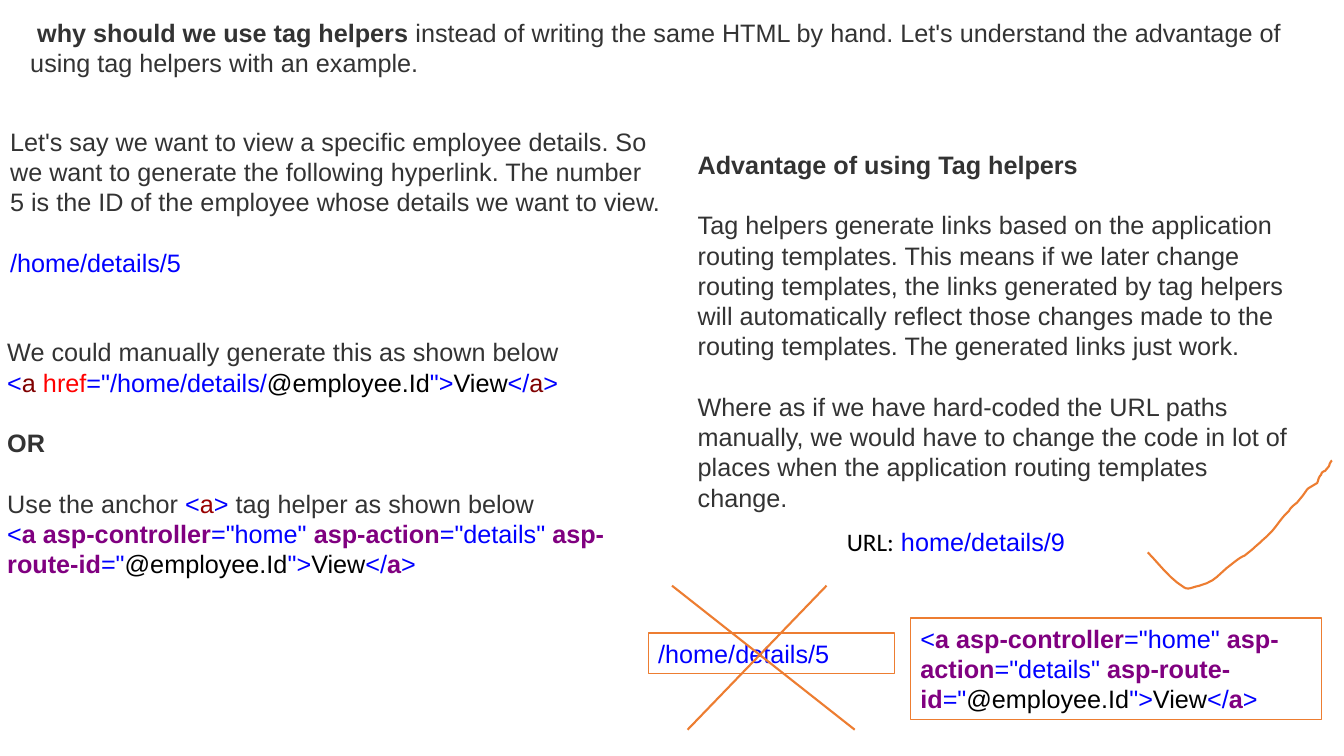
from lxml import etree
from pptx import Presentation
from pptx.dml.color import RGBColor
from pptx.enum.shapes import MSO_CONNECTOR, MSO_SHAPE
from pptx.enum.text import MSO_ANCHOR, MSO_AUTO_SIZE, PP_ALIGN
from pptx.oxml.ns import qn
from pptx.util import Inches, Pt

LEFT, TOP = PP_ALIGN.LEFT, MSO_ANCHOR.TOP
NO_FIT = MSO_AUTO_SIZE.NONE
STRAIGHT, RECTANGLE = MSO_CONNECTOR.STRAIGHT, MSO_SHAPE.RECTANGLE
TWO_CONTENT = 3

WIDTH, HEIGHT = Inches(13.33), Inches(7.5)
FONT, SIZE, LINE = "Arial", Pt(18), Pt(21.6)
GREY, BLUE, BLACK, MAROON, CRIMSON = "333333", "0000FF", "000000", "800000", "990000"
RED, PURPLE, ORANGE, WHITE = "FF0000", "800080", "ED7D31", "FFFFFF"

# Runs are (text, colour, bold, font); the last two may be left out
EMPLOYEE_VIEW = [
    ("@employee.Id", BLACK), ('">', BLUE), ("View", BLACK), ("</", BLUE),
]
MANUAL_LINK = [
    ("<", BLUE), ("a ", MAROON), ("href", RED), ('="/home/details/', BLUE),
    *EMPLOYEE_VIEW, ("a", MAROON), (">", BLUE),
]
TAG_HELPER_LINK = [
    ("<", BLUE), ("a asp-controller", PURPLE, True), ('="home" ', BLUE),
    ("asp-action", PURPLE, True), ('="details" ', BLUE),
    ("asp-route-id", PURPLE, True), ('="', BLUE),
    *EMPLOYEE_VIEW, ("a", PURPLE, True), (">", BLUE),
]
FIXED_LINK = [("/home/details/5", BLUE)]

# Tick: start point, then cubic curves (two controls and an end), in % of the slide
TICK_START = (85.4, 73.07)
TICK_CURVES = [
    ((86.3, 74.7), (87, 76.5), (88.1, 77.7)),
    ((88.4, 78.1), (88.8, 77.6), (89.2, 77.5)),
    ((90.6, 76.8), (90.5, 76.1), (91.8, 74.4)),
    ((92.1, 74), (92.3, 73.7), (92.6, 73.5)),
    ((93.6, 72.1), (93, 72.9), (93.8, 71.7)),
    ((94, 71.3), (94.2, 71.1), (94.4, 70.7)),
    ((95, 69.7), (95.3, 68.5), (95.9, 67.6)),
    ((96, 67.2), (96.2, 66.9), (96.5, 66.5)),
    ((97.7, 64), (96.8, 65.2), (98, 63.9)),
    ((98.1, 63.5), (98.1, 63.1), (98.3, 62.8)),
    ((98.3, 62.5), (98.5, 62.3), (98.6, 62.3)),
    ((98.7, 62), (98.8, 61.9), (98.9, 61.6)),
    ((98.9, 61.3), (99.1, 60.9), (99.1, 60.9)),
]


def color(hex_code):
    return RGBColor.from_string(hex_code)


def place(x, y):
    """Turn shares of the slide, in percent, into lengths."""
    return int(WIDTH * x / 100), int(HEIGHT * y / 100)


def area(x, y, width, height):
    return *place(x, y), *place(width, height)


def set_font(font, name=FONT):
    font.name, font.size = name, SIZE


def add_run(paragraph, text, tint, bold=False, name=FONT):
    run = paragraph.add_run()
    run.text = text
    set_font(run.font, name)
    run.font.bold = bold
    run.font.color.rgb = color(tint)


def write(shape, paragraphs):
    """Fill a shape with (blank lines before, runs) paragraphs."""
    frame = shape.text_frame
    frame.word_wrap, frame.auto_size = True, NO_FIT
    frame.vertical_anchor = TOP
    for number, (gap, runs) in enumerate(paragraphs):
        paragraph = frame.add_paragraph() if number else frame.paragraphs[0]
        properties = paragraph._p.get_or_add_pPr()
        properties.set("marL", "0")
        properties.set("indent", "0")
        etree.SubElement(properties, qn("a:buNone"))
        paragraph.alignment, paragraph.line_spacing = LEFT, LINE
        paragraph.space_before, paragraph.space_after = gap * LINE, Pt(0)
        set_font(paragraph.font)
        for run in runs:
            add_run(paragraph, *run)


def fill_placeholder(placeholder, bounds, paragraphs):
    placeholder.left, placeholder.top, placeholder.width, placeholder.height = area(*bounds)
    write(placeholder, paragraphs)


def add_text(slide, bounds, paragraphs):
    write(slide.shapes.add_textbox(*area(*bounds)), paragraphs)


def outline(shape, points):
    shape.line.color.rgb = color(ORANGE)
    shape.line.width = Pt(points)


def add_code_box(slide, bounds, runs):
    box = slide.shapes.add_shape(RECTANGLE, *area(*bounds))
    box.shadow.inherit = False
    box.fill.solid()
    box.fill.fore_color.rgb = color(WHITE)
    outline(box, 1)
    write(box, [(0, runs)])


def add_stroke(slide, start, end):
    stroke = slide.shapes.add_connector(STRAIGHT, *place(*start), *place(*end))
    outline(stroke, 1.5)
    etree.SubElement(stroke._element.spPr, qn("a:effectLst"))


def curve_points(start, curves, steps=6):
    for first, second, end in curves:
        for step in range(1, steps + 1):
            t = step / steps
            weights = (1 - t) ** 3, 3 * t * (1 - t) ** 2, 3 * t * t * (1 - t), t ** 3
            corners = start, first, second, end
            yield place(*(sum(w * corner[axis] for w, corner in zip(weights, corners))
                          for axis in (0, 1)))
        start = end


def add_tick(slide):
    builder = slide.shapes.build_freeform(*place(*TICK_START))
    builder.add_line_segments(curve_points(TICK_START, TICK_CURVES), close=False)
    tick = builder.convert_to_shape()
    tick.shadow.inherit = False
    tick.fill.background()
    outline(tick, 1.5)


def main():
    deck = Presentation()
    deck.slide_width, deck.slide_height = WIDTH, HEIGHT
    slide = deck.slides.add_slide(deck.slide_layouts[TWO_CONTENT])
    heading, scenario, advantage = slide.placeholders

    # Heading
    fill_placeholder(heading, (1.5, 1.6, 96.1, 9.47), [(0, [
        (" why should we use tag helpers", GREY, True),
        (" instead of writing the same HTML by hand. Let's understand the advantage "
         "of using tag helpers with an example.", GREY)])])

    # Left column: the wanted link and two ways to write it
    fill_placeholder(scenario, (0, 16, 50, 21.6), [
        (0, [("Let's say we want to view a specific employee details. So we want to "
              "generate the following hyperlink. The number 5 is the ID of the employee "
              "whose details we want to view.", GREY)]),
        (1, FIXED_LINK)])
    add_text(slide, (-0.2, 43.87, 50.2, 33.6), [
        (0, [("We could manually generate this as shown below", GREY)]),
        (0, MANUAL_LINK),
        (1, [("OR", GREY, True)]),
        (1, [("Use the anchor ", GREY), ("<", BLUE), ("a", CRIMSON), (">", BLUE),
             (" tag helper as shown below", GREY)]),
        (0, TAG_HELPER_LINK)])

    # Right column: the advantage
    fill_placeholder(advantage, (51.16, 19.07, 45.4, 49.87), [
        (0, [("Advantage of using Tag helpers", GREY, True)]),
        (1, [("Tag helpers generate links based on the application routing templates. "
              "This means if we later change routing templates, the links generated by "
              "tag helpers will automatically reflect those changes made to the routing "
              "templates. The generated links just work.", GREY)]),
        (1, [("Where as if we have hard-coded the URL paths manually, we would have to "
              "change the code in lot of places when the application routing templates "
              "change.", GREY)])])

    # Changed address, with the failing link crossed out and the working one ticked
    add_code_box(slide, (48.24, 83.73, 18.3, 5.33), FIXED_LINK)
    add_text(slide, (62.27, 68.93, 28.5, 5.33), [
        (0, [("URL:", BLACK, False, "Calibri"), (" home/details/9", BLUE)])])
    add_stroke(slide, (61.5, 77.47), (51.16, 96.53))
    add_stroke(slide, (50, 77.47), (63.6, 96.53))
    add_code_box(slide, (67.74, 81.73, 30.6, 13.47), TAG_HELPER_LINK)
    add_tick(slide)

    deck.save("out.pptx")


if __name__ == "__main__":
    main()
